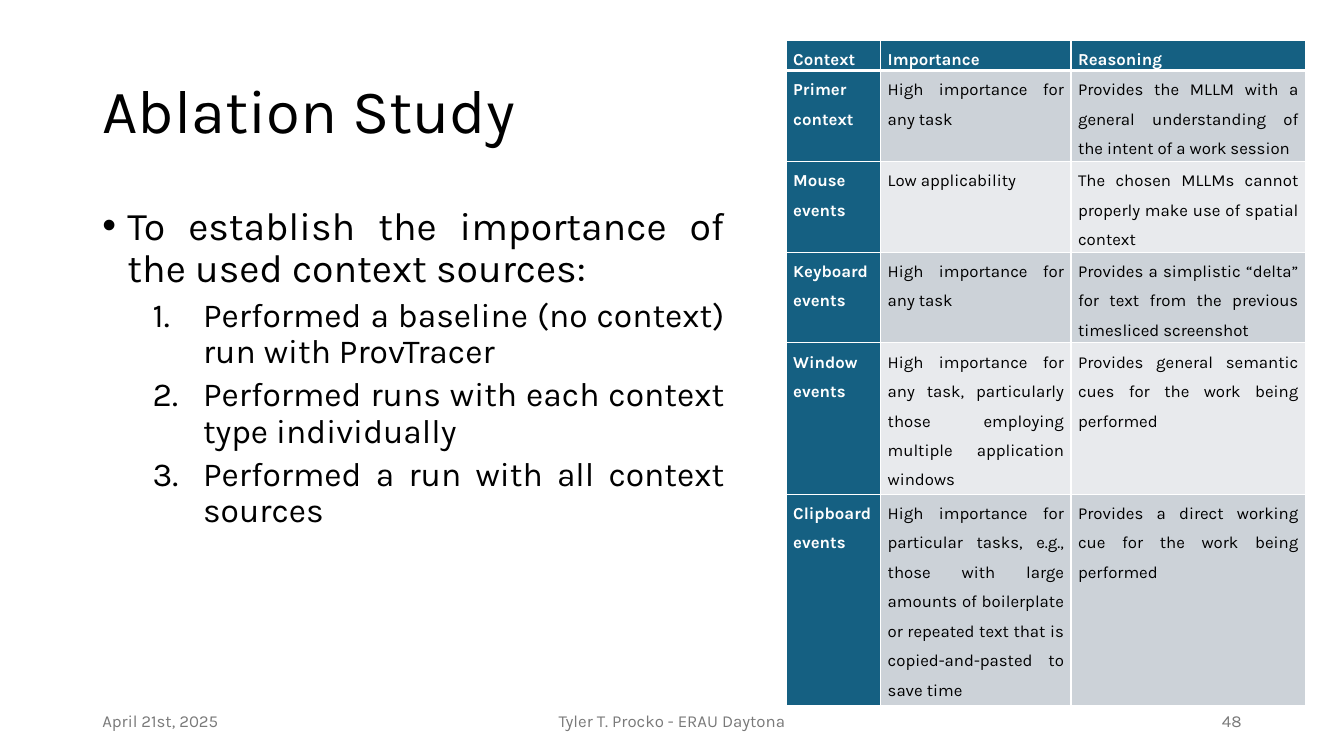
from lxml import etree
from pptx import Presentation
from pptx.dml.color import RGBColor
from pptx.enum.text import MSO_ANCHOR, PP_ALIGN
from pptx.oxml.ns import qn
from pptx.util import Pt

LEFT, CENTER, RIGHT, JUSTIFY = PP_ALIGN.LEFT, PP_ALIGN.CENTER, PP_ALIGN.RIGHT, PP_ALIGN.JUSTIFY
TOP, MIDDLE = MSO_ANCHOR.TOP, MSO_ANCHOR.MIDDLE


def color(value):
    return RGBColor.from_string(value)


def write(paragraph, text, size, hex_color, bold=False, **formats):
    for name, value in formats.items():
        setattr(paragraph, name, value)
    run = paragraph.add_run()
    run.text = text
    run.font.color.rgb = color(hex_color)
    for name, value in {"name": "Karla", "size": Pt(size), "bold": bold}.items():
        setattr(run.font, name, value)


presentation = Presentation()
presentation.slide_width, presentation.slide_height = Pt(960), Pt(540)
slide = presentation.slides.add_slide(presentation.slide_layouts[6])

frames = []
for left, top, width, height, anchor in [
    (66, 28.8, 828, 104.4, MIDDLE),
    (66, 144, 458.6, 342.7, TOP),
    (66, 500.5, 216, 28.75, MIDDLE),
    (318, 500.5, 324, 28.75, MIDDLE),
    (678, 500.5, 216, 28.75, MIDDLE),
]:
    frame = slide.shapes.add_textbox(Pt(left), Pt(top), Pt(width), Pt(height)).text_frame
    frame.word_wrap = True
    frame.vertical_anchor = anchor
    frames.append(frame)
title, body, *footers = frames

write(title.paragraphs[0], "Ablation Study", 44, "000000", line_spacing=0.9)

steps = [
    "To establish the importance of the used context sources:",
    "Performed a baseline (no context) run with ProvTracer",
    "Performed runs with each context type individually",
    "Performed a run with all context sources",
]
for index, text in enumerate(steps):
    paragraph = body.add_paragraph() if index else body.paragraphs[0]
    properties = paragraph._p.get_or_add_pPr()
    margin, indent = (72, -36) if index else (18, -18)
    properties.set("marL", str(Pt(margin)))
    properties.set("indent", str(Pt(indent)))
    if index:
        etree.SubElement(properties, qn("a:buFont"), typeface="+mj-lt")
        etree.SubElement(properties, qn("a:buAutoNum"), type="arabicPeriod")
    else:
        etree.SubElement(properties, qn("a:buFont"), typeface="Arial")
        etree.SubElement(properties, qn("a:buChar"), char="•")
    formats = {"alignment": JUSTIFY, "line_spacing": 0.9}
    if index:
        formats |= {"level": 1, "space_before": Pt(5)}
    write(paragraph, text, 24 if index else 28, "000000", **formats)

footer_texts = ["April 21st, 2025", "Tyler T. Procko - ERAU Daytona", "48"]
for frame, text, alignment in zip(footers, footer_texts, [LEFT, CENTER, RIGHT]):
    write(frame.paragraphs[0], text, 12, "797979", alignment=alignment)

contexts = [
    ("Context", "Importance", "Reasoning"),
    ("Primer context", "High importance for any task",
     "Provides the MLLM with a general understanding of the intent of a work session"),
    ("Mouse events", "Low applicability",
     "The chosen MLLMs cannot properly make use of spatial context"),
    ("Keyboard events", "High importance for any task",
     "Provides a simplistic “delta” for text from the previous timesliced screenshot"),
    ("Window events",
     "High importance for any task, particularly those employing multiple application windows",
     "Provides general semantic cues for the work being performed"),
    ("Clipboard events",
     "High importance for particular tasks, e.g., those with large amounts of boilerplate "
     "or repeated text that is copied-and-pasted to save time",
     "Provides a direct working cue for the work being performed"),
]
table = slide.shapes.add_table(6, 3, Pt(561.6), Pt(28.8), Pt(371), Pt(444)).table
for column, width in zip(table.columns, [67.5, 136, 167.5]):
    column.width = Pt(width)
for row, height in zip(table.rows, [19.5, 63.4, 63.4, 63.4, 85, 129]):
    row.height = Pt(height)

cell_margins = {"margin_left": Pt(5), "margin_right": Pt(5), "margin_top": 0, "margin_bottom": 0}
for row_index, texts in enumerate(contexts):
    for column_index, text in enumerate(texts):
        cell = table.cell(row_index, column_index)
        heading = row_index == 0 or column_index == 0
        for name, value in cell_margins.items():
            setattr(cell, name, value)
        for side in "LRTB":
            thick = (row_index, side) in [(0, "B"), (1, "T")]
            border = etree.SubElement(cell._tc.get_or_add_tcPr(), qn(f"a:ln{side}"),
                                      w=str(Pt(3 if thick else 1)))
            border_fill = etree.SubElement(border, qn("a:solidFill"))
            etree.SubElement(border_fill, qn("a:srgbClr"), val="FFFFFF")
        cell.fill.solid()
        band = "CCD2D8" if row_index % 2 else "E8EAED"
        cell.fill.fore_color.rgb = color("156082" if heading else band)
        write(cell.text_frame.paragraphs[0], text, 12, "FFFFFF" if heading else "000000",
              heading, alignment=JUSTIFY, line_spacing=1.5)

presentation.save("out.pptx")
